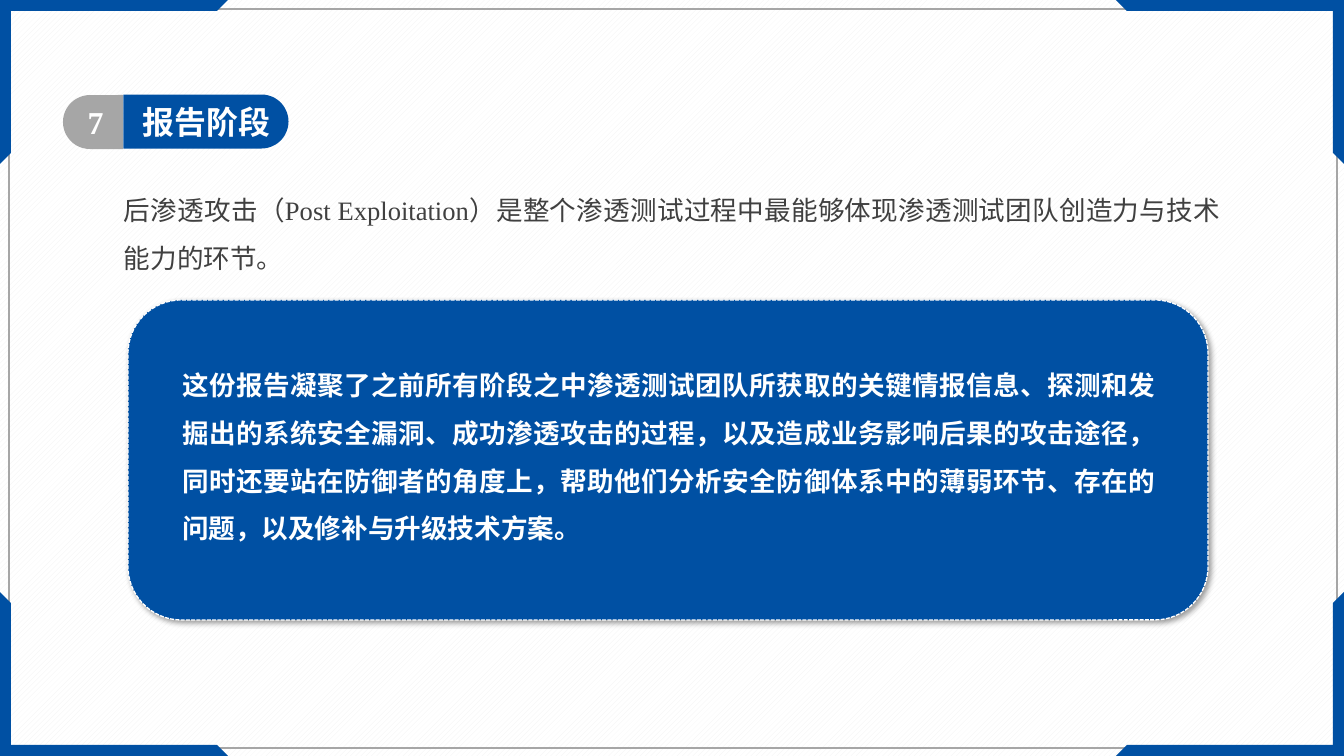
from lxml import etree
from pptx import Presentation
from pptx.dml.color import RGBColor
from pptx.enum.dml import MSO_LINE, MSO_PATTERN
from pptx.enum.lang import MSO_LANGUAGE_ID
from pptx.enum.shapes import MSO_SHAPE
from pptx.enum.text import MSO_ANCHOR, PP_ALIGN
from pptx.oxml import parse_xml
from pptx.util import Pt

PX = 9565
WIDE, HIGH = 1344, 756
FONT = "Times New Roman"
BLUE, GRAY, WHITE, DARK = "0050A3", "A6A6A6", "FFFFFF", "404040"
RECT, ROUND, TAB = MSO_SHAPE.RECTANGLE, MSO_SHAPE.ROUNDED_RECTANGLE, MSO_SHAPE.ROUND_2_SAME_RECTANGLE
LEFT, CENTER, FULL = PP_ALIGN.LEFT, PP_ALIGN.CENTER, PP_ALIGN.JUSTIFY
TOP = MSO_ANCHOR.TOP
DASH = MSO_LINE.SQUARE_DOT
HATCH = MSO_PATTERN.WIDE_UPWARD_DIAGONAL
CHINESE = MSO_LANGUAGE_ID.SIMPLIFIED_CHINESE


def paint(color, tint):
    color.rgb = RGBColor.from_string(tint)


def write(box, place, text, size, tint, bold, align, pad, space):
    box.left, box.top, box.width, box.height = [n * PX for n in place]
    frame = box.text_frame
    frame.text = text
    frame.word_wrap = True
    frame.vertical_anchor = TOP
    frame.margin_left = frame.margin_right = pad[0] * PX
    frame.margin_top = frame.margin_bottom = pad[1] * PX
    line = frame.paragraphs[0]
    line.alignment = align
    line.line_spacing = space
    font = line.runs[0].font
    font.name, font.size, font.bold = FONT, Pt(size), bold
    font.language_id = CHINESE
    paint(font.color, tint)


deck = Presentation()
deck.slide_width, deck.slide_height = WIDE * PX, HIGH * PX
slide = deck.slides.add_slide(deck.slide_layouts[5])
shapes = slide.shapes

back = slide.background.fill
back.patterned()
back.pattern = HATCH
paint(back.fore_color, "F2F2F2")
paint(back.back_color, WHITE)

frame = shapes.add_shape(RECT, *[n * PX for n in (9, 9, 1328, 739)])
frame.shadow.inherit = False
frame.fill.background()
paint(frame.line.color, GRAY)
frame.line.width = Pt(2)

corner = [(0, 0), (228, 0), (217, 11), (11, 11), (11, 153), (0, 164)]
for right in (False, True):
    for low in (False, True):
        points = [(WIDE - x if right else x, HIGH - y if low else y) for x, y in corner]
        pen = shapes.build_freeform(*points[0], scale=PX)
        pen.add_line_segments(points[1:])
        piece = pen.convert_to_shape()
        piece.shadow.inherit = False
        piece.fill.solid()
        paint(piece.fill.fore_color, BLUE)
        piece.line.fill.background()

for place, turn, tint in [((179, 39, 54, 165), 90, BLUE), ((66, 92, 54, 60), 270, GRAY)]:
    tab = shapes.add_shape(TAB, *[n * PX for n in place])
    tab.rotation = turn
    tab.adjustments[0], tab.adjustments[1] = 0.5, 0
    tab.shadow.inherit = False
    tab.fill.solid()
    paint(tab.fill.fore_color, tint)
    tab.line.fill.background()

title = shapes.title
tab.element.addnext(title.element)
write(title, (129, 95, 257, 54), "报告阶段", 24, WHITE, True, LEFT, (14, 8), 1)
number = shapes.add_textbox(0, 0, PX, PX)
write(number, (67, 95, 57, 54), "7", 24, WHITE, True, CENTER, (14, 8), 1)

card = shapes.add_shape(ROUND, *[n * PX for n in (128, 300, 1080, 320)])
card.fill.solid()
paint(card.fill.fore_color, BLUE)
paint(card.line.color, WHITE)
card.line.width = Pt(1)
card.line.dash_style = DASH
card.shadow.inherit = False
glow = parse_xml(
    '<a:outerShdw xmlns:a="http://schemas.openxmlformats.org/drawingml/2006/main"'
    ' blurRad="50800" dist="38100" dir="2700000" algn="tl" rotWithShape="0">'
    '<a:srgbClr val="000000"><a:alpha val="40000"/></a:srgbClr></a:outerShdw>'
)
effect = etree.QName(glow.nsmap["a"], "effectLst")
card.element.spPr.find(effect).append(glow)

report = "这份报告凝聚了之前所有阶段之中渗透测试团队所获取的关键情报信息、探测和发掘出的系统安全漏洞、成功渗透攻击的过程，以及造成业务影响后果的攻击途径，同时还要站在防御者的角度上，帮助他们分析安全防御体系中的薄弱环节、存在的问题，以及修补与升级技术方案。"
intro = "后渗透攻击（Post Exploitation）是整个渗透测试过程中最能够体现渗透测试团队创造力与技术能力的环节。"
for place, text, tint, bold, pad in [
    ((172, 348, 993, 197), report, WHITE, True, (10, 5)),
    ((115, 173, 1114, 100), intro, DARK, False, (9, 5)),
]:
    box = shapes.add_textbox(0, 0, PX, PX)
    write(box, place, text, 20, tint, bold, FULL, pad, 1.5)

deck.save("out.pptx")
